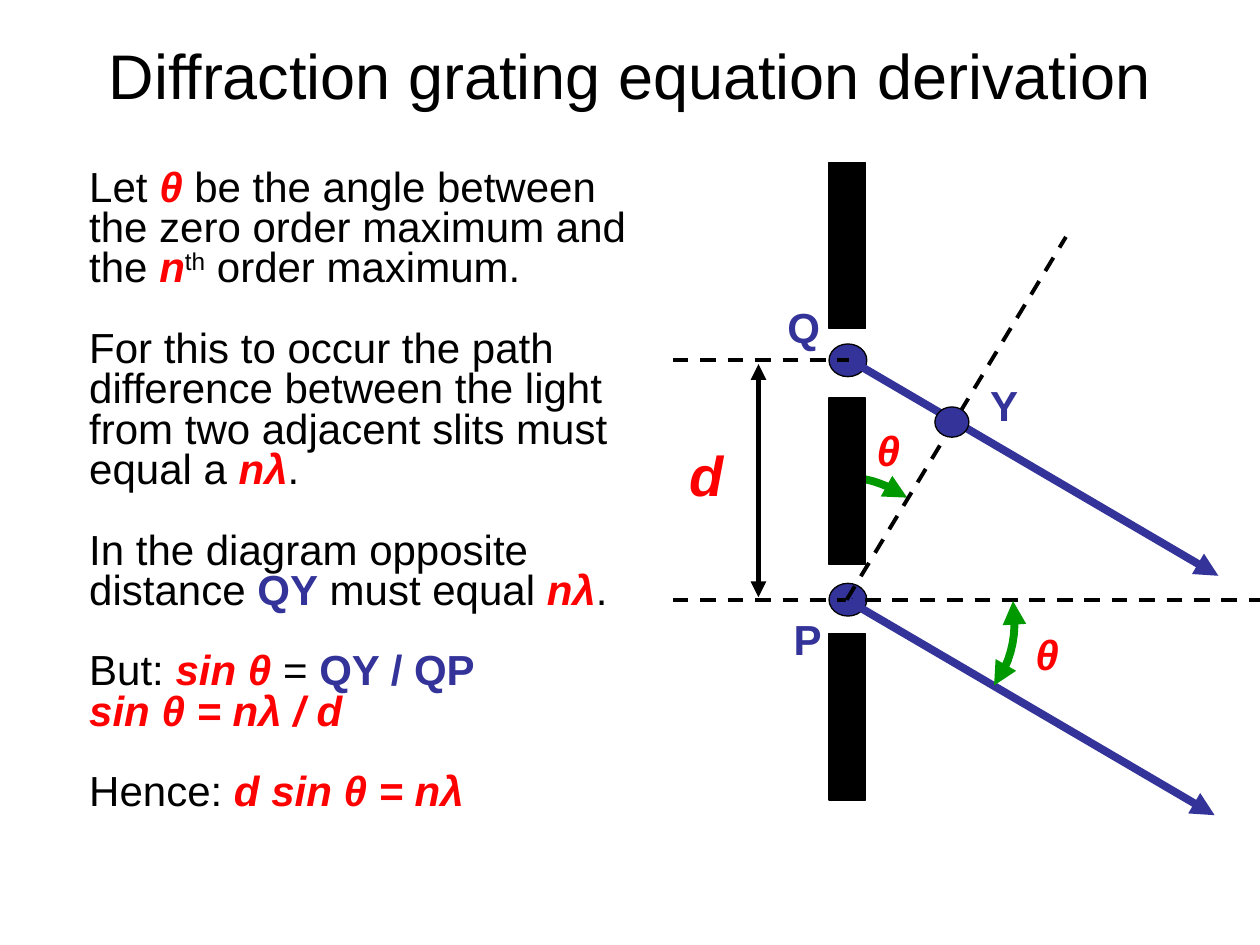
from lxml import etree
from pptx import Presentation
from pptx.dml.color import RGBColor
from pptx.enum.dml import MSO_LINE
from pptx.enum.shapes import MSO_CONNECTOR, MSO_SHAPE
from pptx.enum.text import MSO_ANCHOR, PP_ALIGN
from pptx.oxml.ns import qn
from pptx.util import Inches, Pt

RECT, OVAL = MSO_SHAPE.RECTANGLE, MSO_SHAPE.OVAL
LINE, DASH = MSO_CONNECTOR.STRAIGHT, MSO_LINE.DASH
LEFT, CENTER = PP_ALIGN.LEFT, PP_ALIGN.CENTER
TOP, MIDDLE = MSO_ANCHOR.TOP, MSO_ANCHOR.MIDDLE
COLORS = {"black": "000000", "red": "FF0000", "blue": "333399", "green": "009900"}

# Run styles: colour, bold, italic, baseline shift
STYLES = {
    "plain": ("black", False, False, 0),
    "sup": ("black", False, False, 30000),
    "math": ("red", True, True, 0),
    "point": ("blue", True, False, 0),
}


def color(name):
    return RGBColor.from_string(COLORS[name])


class Board:
    font = "Arial"

    def __init__(self, slide):
        self.slide = slide
        self.shapes = slide.shapes

    def text(self, box, paras, size=24, align=LEFT, anchor=TOP, spacing=None):
        """Each paragraph is (space before, [(text, style), ...])."""
        frame = self.shapes.add_textbox(*map(Inches, box)).text_frame
        frame.word_wrap = True
        frame.vertical_anchor = anchor
        for i, (gap, runs) in enumerate(paras):
            para = frame.add_paragraph() if i else frame.paragraphs[0]
            para.alignment = align
            if spacing:
                para.line_spacing = spacing
            if gap:
                para.space_before = Pt(gap)
            for words, style in runs:
                self.run(para, words, style, size)

    def run(self, para, words, style, size):
        run = para.add_run()
        run.text = words
        hue, bold, italic, shift = STYLES[style]
        font = run.font
        font.name, font.size = self.font, Pt(size)
        font.bold, font.italic = bold, italic
        font.color.rgb = color(hue)
        if shift:
            run._r.get_or_add_rPr().set("baseline", str(shift))

    def label(self, left, top, width, words, style):
        self.text((left, top, width, 0.5), [(0, [(words, style)])])

    def solid(self, kind, box, hue):
        shape = self.shapes.add_shape(kind, *map(Inches, box))
        shape.shadow.inherit = False
        shape.fill.solid()
        shape.fill.fore_color.rgb = color(hue)
        shape.line.color.rgb = color("black")
        shape.line.width = Pt(0.75)

    def stroke(self, shape, hue, width, ends):
        shape.line.color.rgb = color(hue)
        shape.line.width = Pt(width)
        for end in ends:
            etree.SubElement(shape.line._get_or_add_ln(), qn(f"a:{end}"), type="triangle")

    def line(self, start, stop, hue, width, dash=None, ends=()):
        link = self.shapes.add_connector(LINE, *map(Inches, start + stop))
        if dash:
            link.line.dash_style = dash
        self.stroke(link, hue, width, ends)
        etree.SubElement(link._element.spPr, qn("a:effectLst"))

    def arc(self, a, b, c, d, steps=10):
        """Double-headed cubic curve from a to d."""
        dots = []
        for i in range(steps + 1):
            t = i / steps
            u = 1 - t
            dots.append(tuple(
                Inches(u**3 * p + 3 * u * u * t * q + 3 * u * t * t * r + t**3 * s)
                for p, q, r, s in zip(a, b, c, d)))
        build = self.shapes.build_freeform(*dots[0])
        build.add_line_segments(dots[1:], close=False)
        curve = build.convert_to_shape()
        curve.shadow.inherit = False
        curve.fill.background()
        self.stroke(curve, "green", 4.5, ("headEnd", "tailEnd"))


def main():
    deck = Presentation()
    deck.slide_width, deck.slide_height = Inches(10), Inches(7.5)
    board = Board(deck.slides.add_slide(deck.slide_layouts[6]))

    # Title
    board.text((0.5, 0.3, 9, 0.58),
               [(0, [("Diffraction grating equation derivation", "plain")])],
               size=36, align=CENTER, anchor=MIDDLE)

    # Derivation
    gap = 23
    board.text((0.61, 1.3, 4.55, 5.52), [
        (0, [("Let ", "plain"), ("θ", "math"),
             (" be the angle between the zero order maximum and the ", "plain"),
             ("n", "math"), ("th", "sup"), (" order maximum.", "plain")]),
        (gap, [("For this to occur the path difference between the light from "
                "two adjacent slits must equal a ", "plain"),
               ("nλ", "math"), (".", "plain")]),
        (gap, [("In the diagram opposite distance ", "plain"), ("QY", "point"),
               (" must equal ", "plain"), ("nλ", "math"), (".", "plain")]),
        (gap, [("But: ", "plain"), ("sin θ", "math"), (" = ", "plain"),
               ("QY / QP", "point")]),
        (0, [("sin θ = nλ / d", "math")]),
        (gap, [("Hence: ", "plain"), ("d sin θ = nλ", "math")]),
    ], spacing=0.8)

    # Angle at the grating, partly behind the middle bar
    board.arc((6.65, 3.8), (6.83, 3.77), (7.02, 3.83), (7.2, 3.95))

    # Grating bars and the two slits
    for i in range(3):
        board.solid(RECT, (6.58, 1.29 + 1.87 * i, 0.29, 1.32), "black")
    slits = (2.86, 4.76)
    for y in slits:
        board.solid(OVAL, (6.58, y - 0.13, 0.3, 0.26), "blue")

    # Slit axes and spacing d
    for y, right in zip(slits, (6.74, 10)):
        board.line((5.34, y), (right, y), "black", 2.25, DASH)
    board.line((6.02, 2.89), (6.02, 4.74), "black", 3, ends=("headEnd", "tailEnd"))
    board.text((5.37, 3.45, 0.52, 0.64), [(0, [("d", "math")])], size=32)

    # Diffracted rays and the wavefront
    for x, y in zip((6.75, 6.72), slits):
        board.line((x, y), (x + 2.92, y + 1.71), "blue", 4.5, ends=("tailEnd",))
    board.line((6.72, 4.76), (8.46, 1.88), "black", 2.25, DASH)

    # Angle below the axis, and point Y
    board.arc((8.04, 4.77), (8.07, 5), (8.05, 5.22), (7.89, 5.44))
    board.solid(OVAL, (7.42, 3.23, 0.27, 0.24), "blue")

    # Labels
    for left, top in ((6.86, 3.32), (8.12, 4.94)):
        board.label(left, top, 0.44, "θ", "math")
    for left, top, name in ((6.15, 2.34, "Q"), (6.2, 4.82, "P"), (7.76, 2.96, "Y")):
        board.label(left, top, 0.48, name, "point")

    deck.save("out.pptx")


if __name__ == "__main__":
    main()
